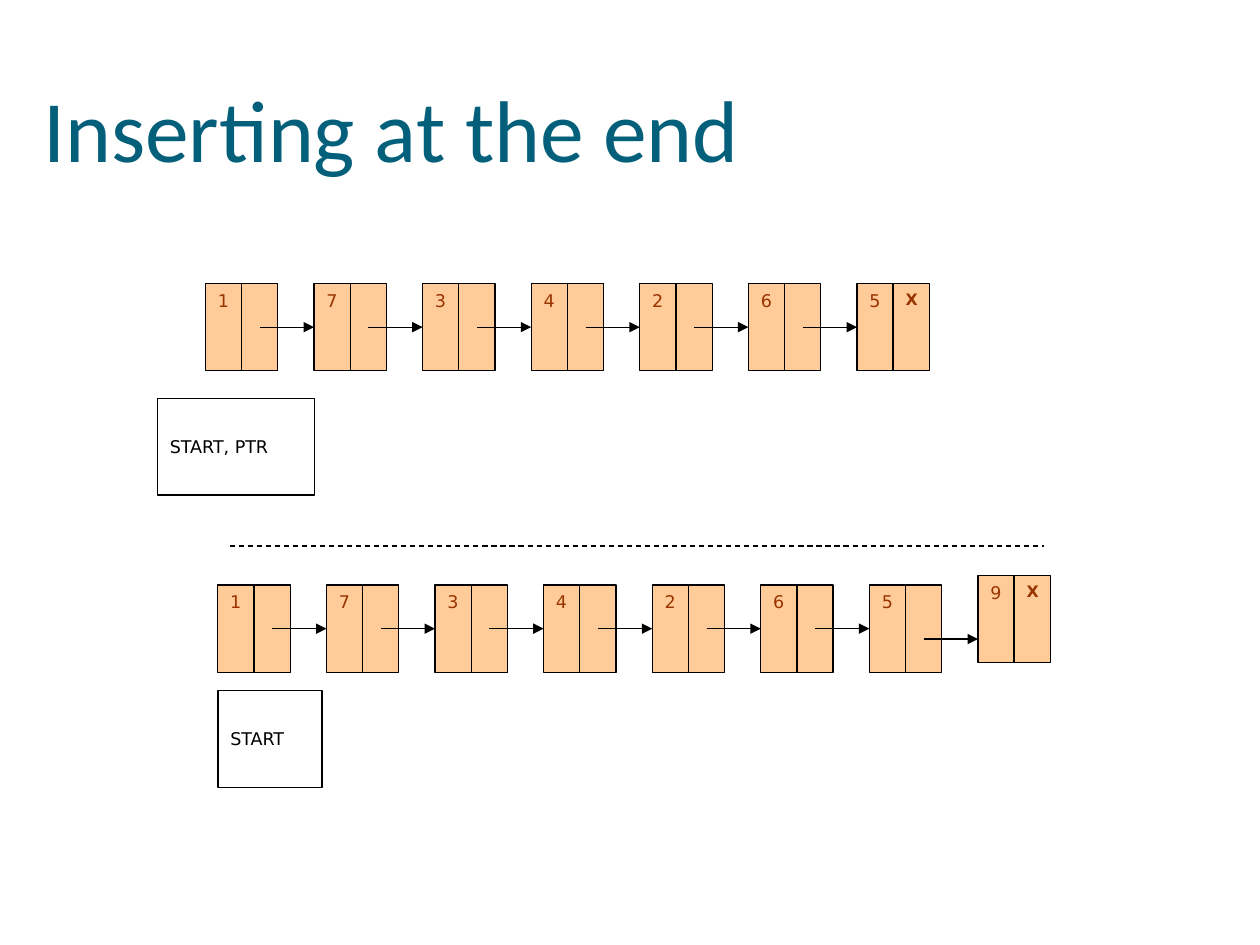
from dataclasses import dataclass

from lxml.etree import SubElement
from pptx import Presentation
from pptx.dml.color import RGBColor
from pptx.enum.dml import MSO_LINE
from pptx.enum.shapes import MSO_CONNECTOR, MSO_SHAPE
from pptx.enum.text import MSO_ANCHOR, MSO_AUTO_SIZE, PP_ALIGN
from pptx.oxml.ns import qn
from pptx.shapes.autoshape import Shape
from pptx.shapes.connector import Connector
from pptx.slide import Slide
from pptx.text.text import TextFrame
from pptx.util import Pt

# All lengths in points
CELL_WIDTH = 20.7
CELL_HEIGHT = 49.9
NODE_PITCH = 62.05
LEFT_SIDE = 1

BLACK = "000000"
NODE_FILL = "FFCC99"
NODE_TEXT = "993300"
TITLE_COLOR = "04607A"


@dataclass
class Node:
    left: float
    top: float
    value: str
    is_last: bool = False


@dataclass
class PointerLabel:
    left: float
    top: float
    width: float
    text: str


def color(hex_code: str) -> RGBColor:
    return RGBColor.from_string(hex_code)


def add_span(frame: TextFrame, text: str, size: float, hex_code: str,
             font: str = "DejaVu Sans", bold: bool = False) -> None:
    para = frame.paragraphs[0]
    para.alignment = PP_ALIGN.LEFT
    span = para.add_run()
    span.text = text
    span.font.name = font
    span.font.size = Pt(size)
    span.font.bold = bold
    span.font.color.rgb = color(hex_code)


def add_box(page: Slide, left: float, top: float, width: float, height: float,
            fill: str | None = None) -> Shape:
    box = page.shapes.add_shape(MSO_SHAPE.RECTANGLE, Pt(left), Pt(top), Pt(width), Pt(height))
    box.shadow.inherit = False
    if fill:
        box.fill.solid()
        box.fill.fore_color.rgb = color(fill)
    else:
        box.fill.background()
    box.line.color.rgb = color(BLACK)
    box.line.width = Pt(0.75)
    box.text_frame.word_wrap = True
    box.text_frame.vertical_anchor = MSO_ANCHOR.TOP
    return box


def add_line(page: Slide, left: float, right: float, y: float) -> Connector:
    line = page.shapes.add_connector(MSO_CONNECTOR.STRAIGHT, Pt(left), Pt(y), Pt(right), Pt(y))
    line.line.color.rgb = color(BLACK)
    line.line.width = Pt(0.75)
    SubElement(line._element.spPr, qn("a:effectLst"))
    return line


def add_node(page: Slide, node: Node) -> Shape:
    """Draw the value cell and the link cell; return the value cell."""
    value_cell = add_box(page, node.left, node.top, CELL_WIDTH, CELL_HEIGHT, NODE_FILL)
    add_span(value_cell.text_frame, node.value, 10, NODE_TEXT)
    link_cell = add_box(page, node.left + CELL_WIDTH, node.top, CELL_WIDTH, CELL_HEIGHT, NODE_FILL)
    if node.is_last:
        add_span(link_cell.text_frame, "X", 9, NODE_TEXT, bold=True)
    return value_cell


def add_link(page: Slide, source: Node, target: Node, y: float) -> Connector:
    arrow = add_line(page, source.left + 1.5 * CELL_WIDTH, target.left, y)
    SubElement(arrow.line._get_or_add_ln(), qn("a:tailEnd"), type="triangle")
    return arrow


def add_list(page: Slide, left: float, top: float, values: str, ends: bool) -> Node:
    """Draw linked nodes in a row; return the last one."""
    nodes = [Node(left + index * NODE_PITCH, top, value, ends and index == len(values) - 1)
             for index, value in enumerate(values)]
    cells = [add_node(page, node) for node in nodes]
    for source, target, cell in zip(nodes, nodes[1:], cells[1:]):
        arrow = add_link(page, source, target, top + CELL_HEIGHT / 2)
        arrow.end_connect(cell, LEFT_SIDE)
    return nodes[-1]


def add_label(page: Slide, label: PointerLabel) -> None:
    box = add_box(page, label.left, label.top, label.width, 55.4)
    box.text_frame.vertical_anchor = MSO_ANCHOR.MIDDLE
    add_span(box.text_frame, label.text, 10, BLACK)


def add_title(page: Slide, text: str) -> None:
    title = page.shapes.title
    title.left, title.top, title.width, title.height = Pt(23.8), Pt(41.8), Pt(399.6), Pt(61.9)
    frame = title.text_frame
    frame.auto_size = MSO_AUTO_SIZE.NONE
    frame.word_wrap = False
    frame.vertical_anchor = MSO_ANCHOR.TOP
    frame.margin_left = frame.margin_top = Pt(0.9)
    frame.margin_right = frame.margin_bottom = 0
    frame.paragraphs[0].space_before = Pt(1.1)
    add_span(frame, text, 50, TITLE_COLOR, "Calibri")


def main() -> None:
    deck = Presentation()
    deck.slide_width, deck.slide_height = Pt(720), Pt(540)
    page = deck.slides.add_slide(deck.slide_layouts[5])
    add_title(page, "Inserting at the end")

    # List before the insertion
    add_list(page, 117.4, 162, "1734265", ends=True)
    add_label(page, PointerLabel(90, 227.6, 89.6, "START, PTR"))

    # Divider
    divider = add_line(page, 131.2, 596.8, 312)
    divider.line.dash_style = MSO_LINE.DASH

    # List after the insertion, with the new node at its end
    tail = add_list(page, 124.5, 334.3, "1734265", ends=False)
    new_node = Node(tail.left + NODE_PITCH, 328.8, "9", is_last=True)
    add_node(page, new_node)
    add_link(page, tail, new_node, 365.2)
    add_label(page, PointerLabel(124.5, 394.5, 59.5, "START"))

    deck.save("out.pptx")


if __name__ == "__main__":
    main()
